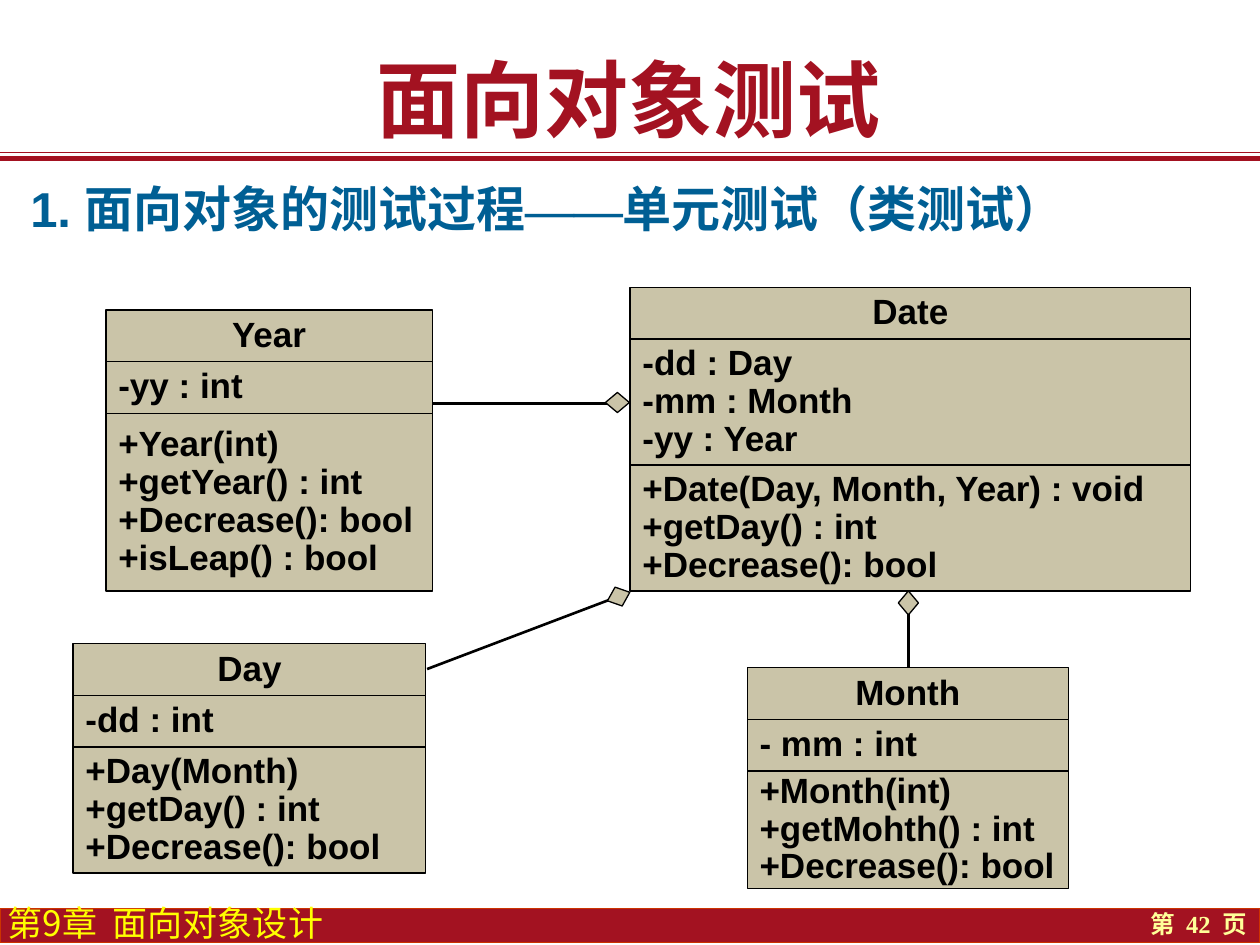
from pptx import Presentation
from pptx.util import Inches, Pt
from pptx.dml.color import RGBColor
from pptx.enum.shapes import MSO_CONNECTOR, MSO_SHAPE
from pptx.enum.text import MSO_ANCHOR, MSO_AUTO_SIZE, PP_ALIGN
from pptx.oxml.ns import qn
from lxml import etree

LEFT, CENTER, RIGHT = PP_ALIGN.LEFT, PP_ALIGN.CENTER, PP_ALIGN.RIGHT
TOP, MIDDLE, BOTTOM = MSO_ANCHOR.TOP, MSO_ANCHOR.MIDDLE, MSO_ANCHOR.BOTTOM
CJK, ARIAL, TIMES = "Noto Sans CJK SC", "Arial", "Times New Roman"
COLORS = {"red": "A31221", "border": "CC3300", "blue": "005F94", "box": "CAC4A8",
          "black": "000000", "yellow": "FFFF00", "cream": "FFFF99"}


def color(name):
    return RGBColor.from_string(COLORS[name])


def write(sp, lines, size=20, font=ARIAL, fill="black", bold=True, align=LEFT,
          anchor=MIDDLE, spacing=0.9, margins=(0.1, 0.05), wrap=True):
    """Fill a shape with lines, each a list of (text, font) runs or a string."""
    tf = sp.text_frame
    tf.auto_size = MSO_AUTO_SIZE.NONE
    tf.word_wrap = wrap
    tf.vertical_anchor = anchor
    tf.margin_left = tf.margin_right = Inches(margins[0])
    tf.margin_top = tf.margin_bottom = Inches(margins[1])
    for i, line in enumerate(lines):
        p = tf.add_paragraph() if i else tf.paragraphs[0]
        p.alignment, p.line_spacing = align, spacing
        p.space_before = Pt(0)
        for text, face in [(line, font)] if isinstance(line, str) else line:
            r = p.add_run()
            r.text = text
            r.font.name, r.font.size, r.font.bold = face, Pt(size), bold
            r.font.color.rgb = color(fill)
            ea = etree.SubElement(r.font._element, qn("a:ea"))
            ea.set("typeface", TIMES if text == "——" else CJK)


prs = Presentation()
prs.slide_width, prs.slide_height = Inches(10), Inches(7.5)
s = prs.slides.add_slide(prs.slide_layouts[1])

# Title and heading
title, body = s.placeholders
for sp, box in ((title, (1.69, 0.33, 6.6, 0.9)), (body, (0.14, 1.42, 9.08, 0.52))):
    sp.left, sp.top, sp.width, sp.height = map(Inches, box)
write(title, ["面向对象测试"], size=48, font=TIMES, fill="red", align=CENTER, spacing=1)
write(body, [[("1. 面向对象的测试过程", ARIAL), ("——", TIMES), ("单元测试（类测试）", ARIAL)]],
      size=28, fill="blue", anchor=TOP)
pPr = body.text_frame.paragraphs[0]._p.get_or_add_pPr()
pPr.set("marL", "0")
pPr.set("indent", "0")
etree.SubElement(pPr, qn("a:buNone"))

# Footer band
band = s.shapes.add_shape(MSO_SHAPE.RECTANGLE, Inches(0), Inches(7.21), Inches(10), Inches(0.27))
band.shadow.inherit = False
band.fill.solid()
band.fill.fore_color.rgb = color("red")
band.line.color.rgb = color("border")
band.line.width = Pt(0.75)
chapter = s.shapes.add_textbox(Inches(0.06), Inches(7.24), Inches(3), Inches(0.25))
write(chapter, ["第9章  面向对象设计"], font=CJK, fill="yellow", bold=False,
      anchor=BOTTOM, spacing=0.85, margins=(0, 0))
page = s.shapes.add_textbox(Inches(8.43), Inches(7.17), Inches(1.57), Inches(0.33))
write(page, ["第  42  页"], size=14, font=TIMES, fill="cream", align=RIGHT, spacing=1)

# Class boxes: left, top, width, attribute height, method height, name, attributes, methods
ROW = 0.41
classes = [
    (0.58, 5.11, 2.8, ROW, 1, "Day", ["-dd : int"],
     ["+Day(Month)", "+getDay() : int", "+Decrease(): bool"]),
    (0.84, 2.46, 2.59, ROW, 1.41, "Year", ["-yy : int"],
     ["+Year(int)", "+getYear() : int", "+Decrease(): bool", "+isLeap() : bool"]),
    (5.93, 5.3, 2.55, ROW, 0.93, "Month", ["- mm : int"],
     ["+Month(int)", "+getMohth() : int", "+Decrease(): bool"]),
    (5, 2.28, 4.45, 1, 1, "Date", ["-dd : Day", "-mm : Month", "-yy : Year"],
     ["+Date(Day, Month, Year) : void", "+getDay() : int", "+Decrease(): bool"]),
]
for left, top, width, attr_h, method_h, name, attrs, methods in classes:
    group = s.shapes.add_group_shape()
    for lines, height, align in (([name], ROW, CENTER), (attrs, attr_h, LEFT),
                                 (methods, method_h, LEFT)):
        sp = group.shapes.add_shape(MSO_SHAPE.RECTANGLE, Inches(left), Inches(top),
                                    Inches(width), Inches(height))
        sp.shadow.inherit = False
        sp.fill.solid()
        sp.fill.fore_color.rgb = color("box")
        sp.line.color.rgb = color("black")
        sp.line.width = Pt(0.75)
        write(sp, lines, align=align, wrap=False)
        top += height

# Title rules and aggregation lines
for x1, y1, x2, y2, name, width in (
        (0, 1.21, 10, 1.21, "red", 0.75), (0, 1.26, 10, 1.26, "red", 3),
        (3.44, 3.2, 4.95, 3.2, "black", 1.5), (3.39, 5.31, 4.97, 4.71, "black", 1.5),
        (7.21, 5.3, 7.21, 4.72, "black", 1.5)):
    line = s.shapes.add_connector(MSO_CONNECTOR.STRAIGHT, Inches(x1), Inches(y1),
                                  Inches(x2), Inches(y2))
    line.line.color.rgb = color(name)
    line.line.width = Pt(width)
    etree.SubElement(line._element.spPr, qn("a:effectLst"))

# Aggregation diamonds at the Date class
for left, top, angle in ((7.13, 4.69, 0), (4.82, 3.1, 90), (4.83, 4.64, 69.2)):
    sp = s.shapes.add_shape(MSO_SHAPE.DIAMOND, Inches(left), Inches(top), Inches(0.16), Inches(0.19))
    sp.rotation = angle
    sp.shadow.inherit = False
    sp.fill.solid()
    sp.fill.fore_color.rgb = color("box")
    sp.line.color.rgb = color("black")
    sp.line.width = Pt(0.75)

prs.save("out.pptx")
